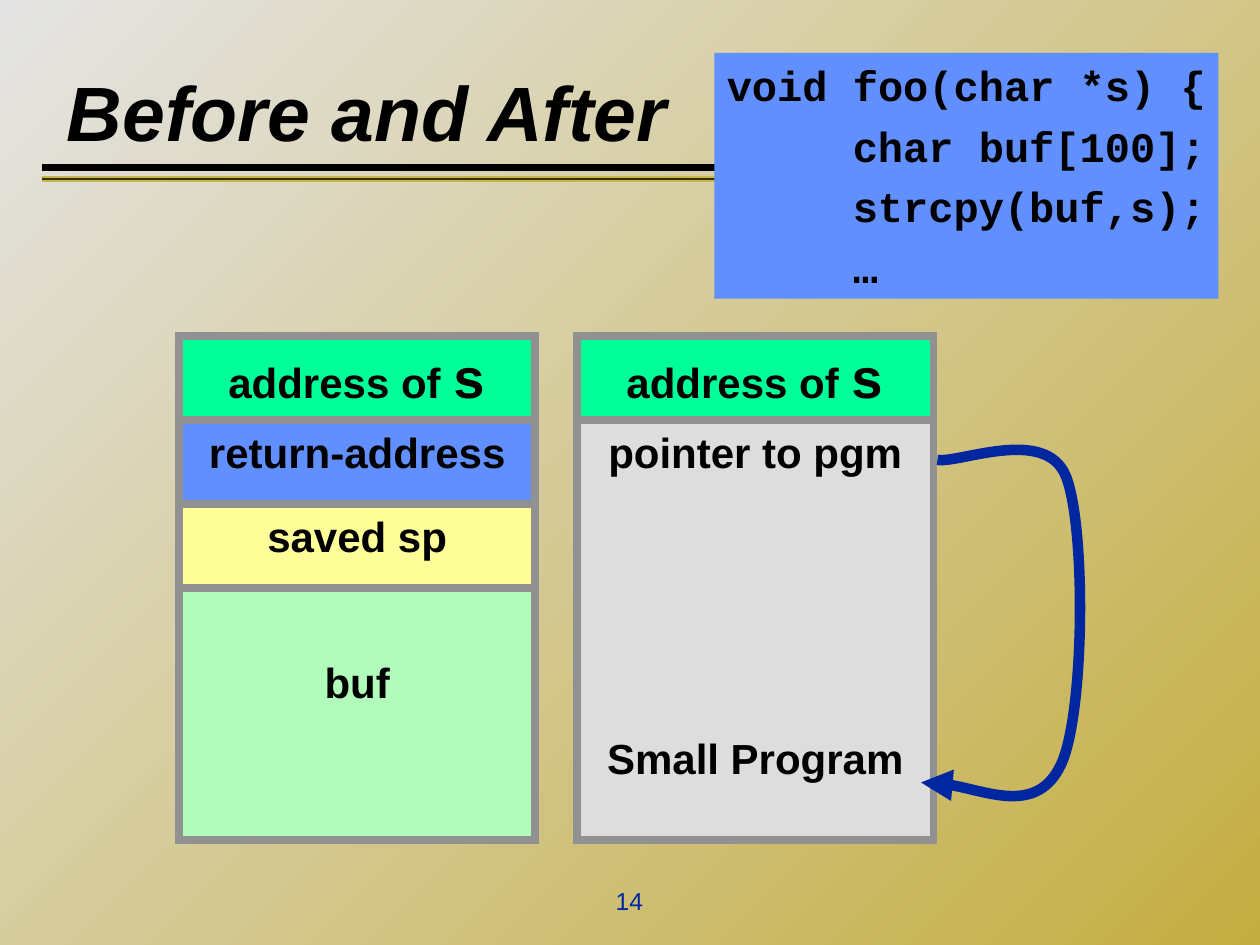
from lxml import etree
from pptx import Presentation
from pptx.dml.color import RGBColor
from pptx.enum.shapes import MSO_CONNECTOR, MSO_SHAPE
from pptx.enum.text import MSO_ANCHOR, MSO_AUTO_SIZE, PP_ALIGN
from pptx.oxml.ns import qn
from pptx.util import Inches, Pt

LEFT, CENTER = PP_ALIGN.LEFT, PP_ALIGN.CENTER
TOP, MIDDLE = MSO_ANCHOR.TOP, MSO_ANCHOR.MIDDLE
RECTANGLE, STRAIGHT = MSO_SHAPE.RECTANGLE, MSO_CONNECTOR.STRAIGHT
NO_AUTOFIT = MSO_AUTO_SIZE.NONE

TITLE = "Before and After"
PAGE = "14"
CODE = [("void foo(char *s) {", 0), ("char buf[100];", 1), ("strcpy(buf,s);", 1), ("…", 1)]
ADDRESS = [("address of ", "Arial", 24), ("s", "Courier New", 32)]
STACKS = [
    [
        (1, "00FF99", [ADDRESS], {"before": 8}),
        (1, "618FFD", ["return-address"], {}),
        (1, "FFFF99", ["saved sp"], {}),
        (3, "B2FCBB", ["buf"], {"inset_top": 0.54}),
    ],
    [
        (1, "00FF99", [ADDRESS], {"before": 8}),
        (5, "DDDDDD", ["pointer to pgm", "Small Program"], {"later_before": 146}),
    ],
]
RULES = [(1.42, "C8B452", 3.5), (1.33, "000000", 4), (1.42, "333300", 1)]
RULE_STARTS, RULE_END = (0.81, 0.33), 9.5
JUMP = [
    (7.44, 3.65),
    (7.61, 3.68), (8.3, 3.38), (8.46, 3.78),
    (8.62, 4.18), (8.61, 5.67), (8.42, 6.07),
    (8.23, 6.47), (7.54, 6.18), (7.31, 6.21),
]
STACK_LEFT, STACK_TOP, STACK_PITCH = 1.42, 2.67, 3.16
STACK_WIDTH, ROW_HEIGHT = 2.83, 2 / 3


def rgb(value):
    return RGBColor.from_string(value)


def box_at(left, top, width, height):
    return [Inches(length) for length in (left, top, width, height)]


def write(shape, paragraphs, size=24, font="Arial", color="000000", bold=True,
          italic=False, align=CENTER, anchor=TOP, wrap=True, before=6, later_before=None,
          insets=(0.1, 0.05, 0.1, 0.05), inset_top=None, indents=()):
    frame = shape.text_frame
    frame.auto_size, frame.word_wrap, frame.vertical_anchor = NO_AUTOFIT, wrap, anchor
    left, top, right, bottom = [Inches(inset) for inset in insets]
    frame.margin_left, frame.margin_right, frame.margin_bottom = left, right, bottom
    frame.margin_top = top if inset_top is None else Inches(inset_top)
    for index, content in enumerate(paragraphs):
        line = frame.add_paragraph() if index else frame.paragraphs[0]
        line.alignment, line.line_spacing = align, 1.0
        line.space_before = Pt(later_before if index and later_before else before)
        if indents:
            line._p.get_or_add_pPr().set("marL", str(Inches(indents[index])))
        pieces = [(content, font, size)] if isinstance(content, str) else content
        for words, face, points in pieces:
            run = line.add_run()
            run.text = words
            run.font.name, run.font.size = face, Pt(points)
            run.font.bold, run.font.italic = bold, italic
            run.font.color.rgb = rgb(color)


def add_block(slide, place, fill, paragraphs, border=None, **text_format):
    block = slide.shapes.add_shape(RECTANGLE, *box_at(*place))
    block.shadow.inherit = False
    block.fill.solid()
    block.fill.fore_color.rgb = rgb(fill)
    if border:
        block.line.color.rgb = rgb(border)
        block.line.width = Pt(4.5)
        etree.SubElement(block.line._get_or_add_ln(), qn("a:miter"), lim="800000")
    else:
        block.line.fill.background()
    write(block, paragraphs, **text_format)


def add_rule(slide, start, height, color, width):
    rule = slide.shapes.add_connector(
        STRAIGHT, Inches(start), Inches(height), Inches(RULE_END), Inches(height))
    rule.line.color.rgb = rgb(color)
    rule.line.width = Pt(width)
    etree.SubElement(rule._element.spPr, qn("a:effectLst"))


def add_jump(slide):
    points = [(Inches(x), Inches(y)) for x, y in JUMP]
    builder = slide.shapes.build_freeform(*points[0])
    builder.add_line_segments(points[1:], close=False)
    jump = builder.convert_to_shape()
    jump.shadow.inherit = False
    jump.fill.background()
    jump.line.color.rgb = rgb("00279F")
    jump.line.width = Pt(6)
    etree.SubElement(jump.line._get_or_add_ln(), qn("a:tailEnd"), type="triangle")
    segments = list(jump._element.iter(qn("a:lnTo")))
    outline = segments[0].getparent()
    for first in range(0, len(segments), 3):
        curve = etree.SubElement(outline, qn("a:cubicBezTo"))
        for segment in segments[first:first + 3]:
            curve.append(segment[0])
            outline.remove(segment)


def main():
    deck = Presentation()
    deck.slide_width, deck.slide_height = Inches(10), Inches(7.5)
    slide = deck.slides.add_slide(deck.slide_layouts[5])

    backdrop = slide.background.fill
    backdrop.gradient()
    backdrop.gradient_angle = 315
    for stop, color, position in zip(backdrop.gradient_stops, ("E4E4E4", "C4AE42"), (0, 1)):
        stop.color.rgb = rgb(color)
        stop.position = position

    for start in RULE_STARTS:
        for rule in RULES:
            add_rule(slide, start, *rule)

    page = slide.shapes.add_textbox(*box_at(3.83, 6.98, 2.33, 0.52))
    write(page, [PAGE], size=14, color="00279F", bold=False, before=0)

    title = slide.shapes.title
    title.left, title.top, title.width, title.height = box_at(0.33, 0.58, 5.22, 0.75)
    write(title, [TITLE], size=44, italic=True, align=LEFT, anchor=MIDDLE, before=0,
          insets=(0.2, 0, 0, 0.15))

    add_block(slide, (5.67, 0.42, 4, 1.95), "618FFD", [words for words, _ in CODE],
              font="Courier New", align=LEFT, wrap=False,
              indents=[indent for _, indent in CODE])

    for column, stack in enumerate(STACKS):
        left, top = STACK_LEFT + column * STACK_PITCH, STACK_TOP
        for rows, fill, paragraphs, text_format in stack:
            height = rows * ROW_HEIGHT
            add_block(slide, (left, top, STACK_WIDTH, height), fill, paragraphs,
                      border="919191", **text_format)
            top += height

    add_jump(slide)
    deck.save("out.pptx")


if __name__ == "__main__":
    main()
